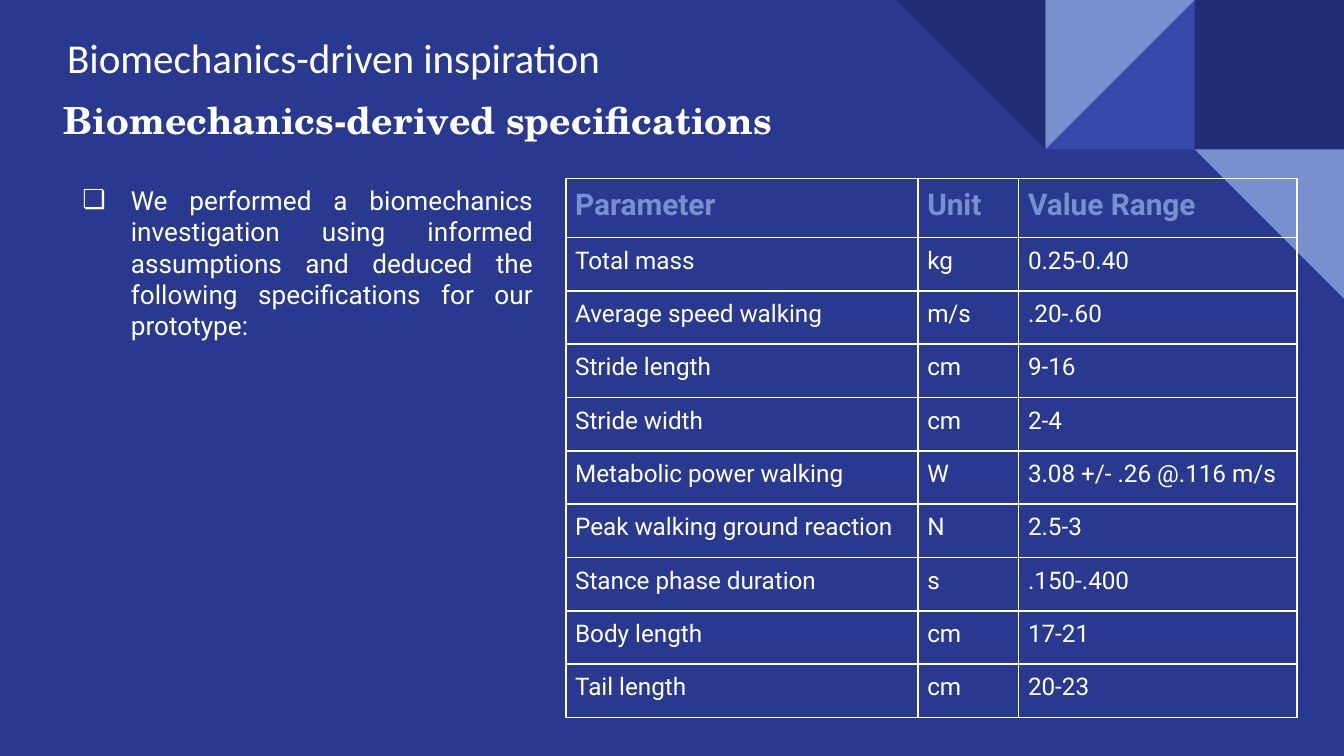
"""Build the biomechanics specifications slide with its parameter table."""
from lxml.etree import SubElement
from pptx import Presentation
from pptx.dml.color import RGBColor
from pptx.enum.shapes import MSO_SHAPE
from pptx.enum.text import MSO_ANCHOR, MSO_AUTO_SIZE, PP_ALIGN
from pptx.oxml.ns import qn
from pptx.util import Inches, Pt

BLUE = RGBColor(0x2A, 0x39, 0x90)
NAVY = RGBColor(0x21, 0x2D, 0x74)
INDIGO = RGBColor(0x39, 0x49, 0xAB)
SKY = RGBColor(0x78, 0x90, 0xCD)
WHITE = RGBColor(0xFF, 0xFF, 0xFF)

prs = Presentation()
prs.slide_width = Inches(10)
prs.slide_height = prs.slide_width * 9 // 16
W, H = prs.slide_width, prs.slide_height


def box(x, y, w, h):
    """Turn percentages of the slide into left, top, width and height."""
    return [int(v * side / 100) for v, side in zip((x, y, w, h), (W, H, W, H))]


def write(tf, text, font, size, color, bold=False, align=PP_ALIGN.LEFT):
    """Put one formatted run into the first paragraph and return the paragraph."""
    p = tf.paragraphs[0]
    p.alignment = align
    r = p.add_run()
    r.text = text
    r.font.name, r.font.size, r.font.bold = font, Pt(size), bold
    r.font.color.rgb = color
    return p


s = prs.slides.add_slide(prs.slide_layouts[5])
s.background.fill.solid()
s.background.fill.fore_color.rgb = BLUE

tile = W // 9
tiles = [
    (8, 0, MSO_SHAPE.RECTANGLE, 0, NAVY),
    (7, 0, MSO_SHAPE.RIGHT_TRIANGLE, 270, INDIGO),
    (7, 0, MSO_SHAPE.RIGHT_TRIANGLE, 90, SKY),
    (6, 0, MSO_SHAPE.RIGHT_TRIANGLE, 180, NAVY),
    (8, 1, MSO_SHAPE.RIGHT_TRIANGLE, 180, SKY),
]
for col, row, kind, angle, color in tiles:
    sp = s.shapes.add_shape(kind, col * tile, row * tile, tile, tile)
    sp.rotation = angle
    sp.shadow.inherit = False
    sp.fill.solid()
    sp.fill.fore_color.rgb = color
    sp.line.fill.background()

rows = [
    ("Parameter", "Unit", "Value Range"),
    ("Total mass", "kg", "0.25-0.40"),
    ("Average speed walking", "m/s", ".20-.60"),
    ("Stride length", "cm", "9-16"),
    ("Stride width", "cm", "2-4"),
    ("Metabolic power walking", "W", "3.08 +/- .26 @.116 m/s"),
    ("Peak walking ground reaction", "N", "2.5-3"),
    ("Stance phase duration", "s", ".150-.400"),
    ("Body length", "cm", "17-21"),
    ("Tail length", "cm", "20-23"),
]
table = s.shapes.add_table(len(rows), 3, *box(42.1, 23.6, 54.4, 71.37)).table
table.first_row = table.horz_banding = False
for column, share in zip(table.columns, (26.2, 7.5, 20.7)):
    column.width = int(W * share / 100)
for i, values in enumerate(rows):
    head = i == 0
    table.rows[i].height = int(H * (7.83 if head else 7.06) / 100)
    for j, value in enumerate(values):
        cell = table.cell(i, j)
        cell.margin_left = cell.margin_right = Inches(0.07)
        cell.margin_top = cell.margin_bottom = Inches(0.07)
        tcPr = cell._tc.get_or_add_tcPr()
        for side in ("a:lnL", "a:lnR", "a:lnT", "a:lnB"):
            ln = SubElement(tcPr, qn(side), w=str(Pt(1)))
            fill = SubElement(ln, qn("a:solidFill"))
            SubElement(fill, qn("a:srgbClr"), val=str(WHITE))
        cell.fill.background()
        align = PP_ALIGN.JUSTIFY if head or j else PP_ALIGN.LEFT
        write(cell.text_frame, value, "Roboto", 16 if head else 13,
              SKY if head else WHITE, head, align)

title = s.shapes.title
subtitle = s.shapes.add_textbox(*box(3.75, 12.15, 77.2, 8.36))
body = s.shapes.add_textbox(*box(3.75, 22.6, 36.9, 32))
title.left, title.top, title.width, title.height = box(4, 2.67, 70.7, 9.96)
for sp in (title, subtitle, body):
    tf = sp.text_frame
    tf.word_wrap = True
    tf.auto_size = MSO_AUTO_SIZE.NONE
    tf.vertical_anchor = MSO_ANCHOR.TOP if sp is body else MSO_ANCHOR.BOTTOM
    tf.margin_left = tf.margin_right = Inches(0.1)
    tf.margin_top = tf.margin_bottom = Inches(0.1)

write(title.text_frame, "Biomechanics-driven inspiration", "Calibri", 22, WHITE)
write(subtitle.text_frame, "Biomechanics-derived specifications",
      "TeX Gyre Schola", 20, WHITE, True)
p = write(body.text_frame, "We performed a biomechanics investigation using informed "
          "assumptions and deduced the following specifications for our prototype:",
          "Roboto", 14, WHITE, align=PP_ALIGN.JUSTIFY)
pPr = p._p.get_or_add_pPr()
pPr.set("marL", str(Inches(0.5)))
pPr.set("indent", str(Inches(-0.36)))
bullet_color = SubElement(pPr, qn("a:buClr"))
SubElement(bullet_color, qn("a:srgbClr"), val=str(WHITE))
SubElement(pPr, qn("a:buFont"), typeface="Roboto")
SubElement(pPr, qn("a:buChar"), char="❏")

prs.save("out.pptx")
